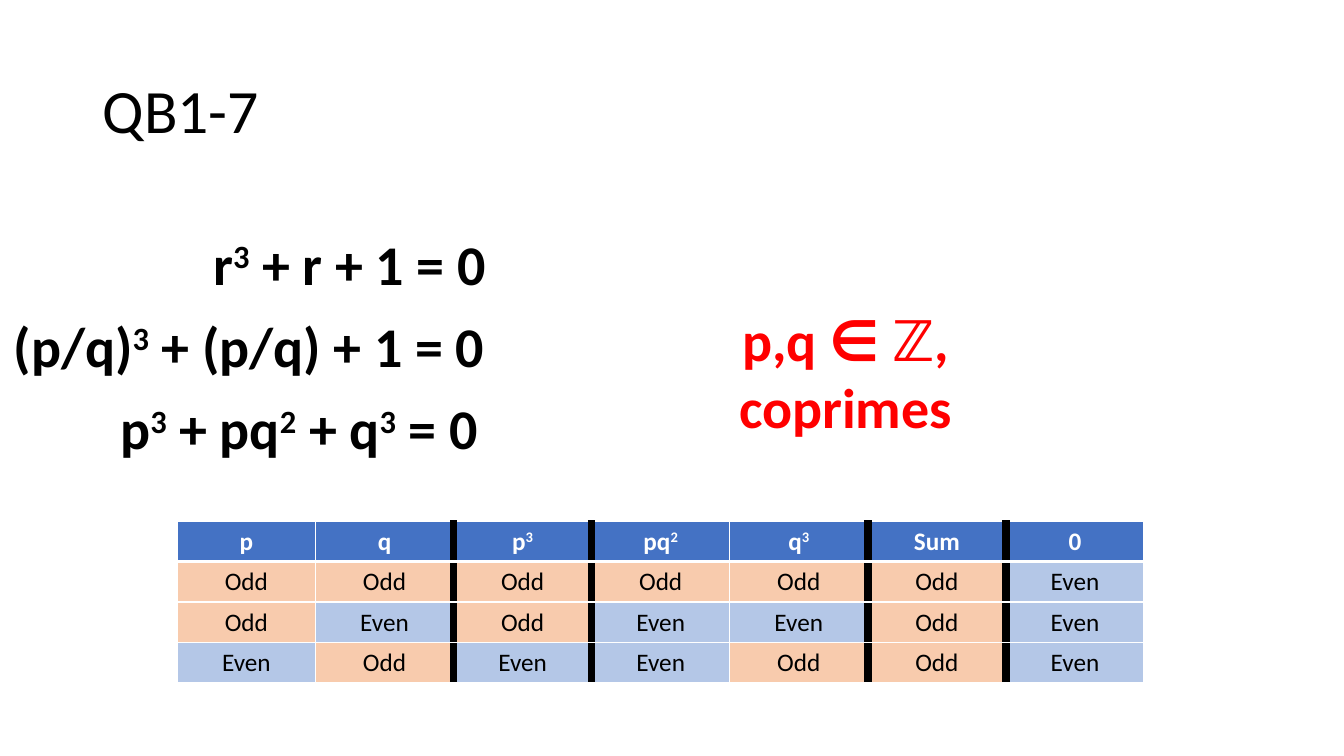
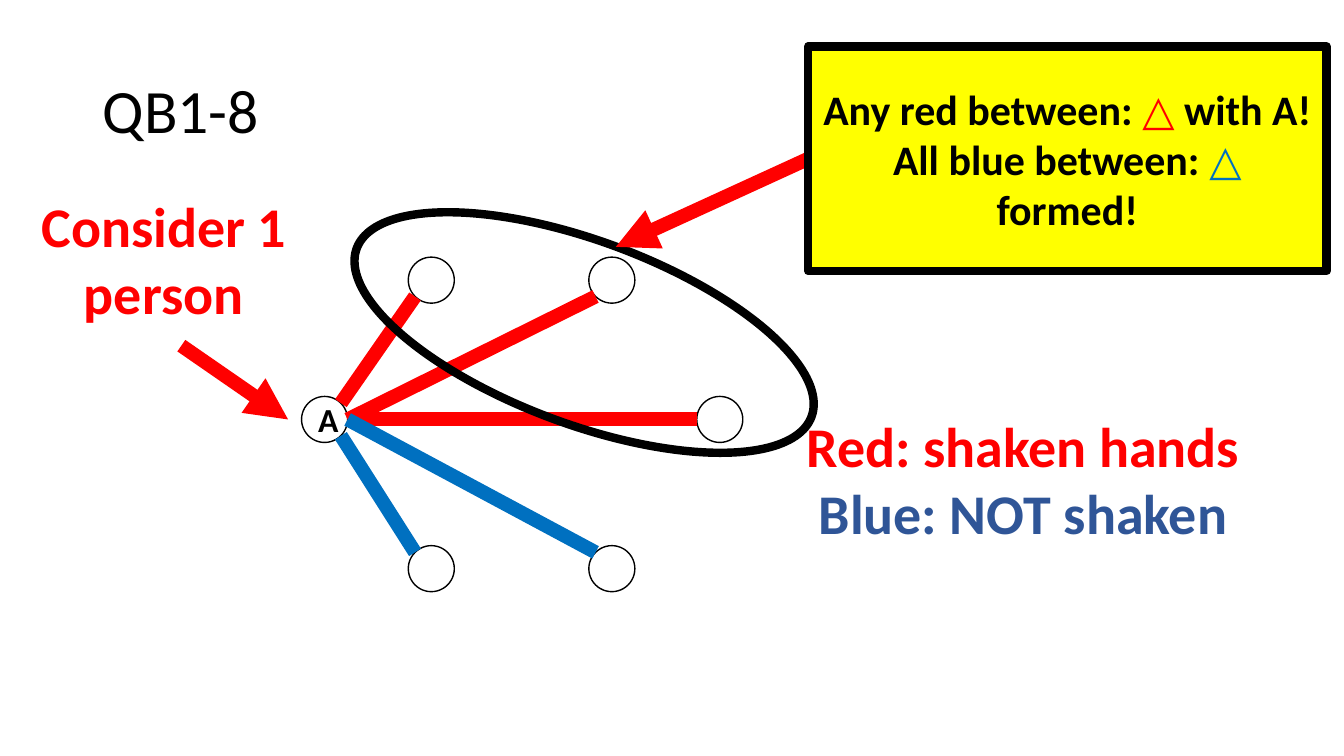
from pptx import Presentation
from pptx import util as u
from pptx.dml.color import RGBColor
from pptx.enum import shapes, text
from pptx.oxml.ns import qn
from lxml import etree

COLORS = {
    "black": "000000", "white": "FFFFFF", "red": "FF0000", "blue": "0070C0",
    "navy": "2F5597", "yellow": "FFFF00", "header": "4472C4",
    "odd": "F8CBAD", "even": "B4C7E7",
}
RGB = {name: RGBColor.from_string(value) for name, value in COLORS.items()}
FONT = "Calibri"


def write(para, content, size, color="black", bold=True, accent=None):
    """Fill a paragraph; parts between ^ marks are raised, or coloured if accent is given."""
    for index, part in enumerate(content.split("^")):
        if not part:
            continue
        span = para.add_run()
        span.text = part
        span.font.name, span.font.size, span.font.bold = FONT, u.Pt(size), bold
        marked = index % 2 == 1
        span.font.color.rgb = RGB[accent if marked and accent else color]
        if marked and not accent:
            span.font._element.set("baseline", "30000")


def draw_line(page, start, end, color, arrow=False):
    line = page.shapes.add_connector(
        shapes.MSO_CONNECTOR.STRAIGHT, *[u.Cm(value) for value in (*start, *end)])
    line.line.color.rgb = RGB[color]
    line.line.width = u.Pt(10)
    if arrow:
        etree.SubElement(line.line._get_or_add_ln(), qn("a:tailEnd"), type="triangle")
    etree.SubElement(line._element.spPr, qn("a:effectLst"))
    return line


deck = Presentation()
deck.slide_width, deck.slide_height = u.Cm(33.87), u.Cm(19.05)
pages = []
for title in ("QB1-7", "QB1-8"):
    page = deck.slides.add_slide(deck.slide_layouts[6])
    box = page.shapes.add_textbox(u.Cm(2.34), u.Cm(1.02), u.Cm(29.2), u.Cm(3.68))
    box.text_frame.word_wrap = True
    box.text_frame.vertical_anchor = text.MSO_ANCHOR.MIDDLE
    para = box.text_frame.paragraphs[0]
    para.line_spacing = 0.9
    write(para, title, 44, bold=False)
    pages.append(page)
proof, handshakes = pages

# Large centred statements on both slides
EQUATION_RIGHT = 12.55
equations = [
    ("r^3^ + r + 1 = 0", 7.49),
    ("(p/q)^3^ + (p/q) + 1 = 0", 12.55),
    ("p^3^ + pq^2^ + q^3^ = 0", 10.03),
]
statements = [
    (proof, (EQUATION_RIGHT - width, 5.66 + 2.07 * row, width, 1.96), False,
     [(equation, "black")])
    for row, (equation, width) in enumerate(equations)
]
statements += [
    (proof, (17.31, 7.57, 8, 3.68), True, [("p,q ∈ ℤ, coprimes", "red")]),
    (handshakes, (0.6, 4.7, 7.06, 3.68), False, [("Consider 1", "red"), ("person", "red")]),
    (handshakes, (20, 10.24, 11.56, 3.68), False,
     [("Red: shaken hands", "red"), ("Blue: NOT shaken", "navy")]),
]
for page, place, wrap, lines in statements:
    frame = page.shapes.add_textbox(*[u.Cm(value) for value in place]).text_frame
    frame.word_wrap = wrap
    for index, (content, color) in enumerate(lines):
        para = frame.add_paragraph() if index else frame.paragraphs[0]
        para.alignment = text.PP_ALIGN.CENTER
        write(para, content, 40, color)

# Parity table
rows = [
    ["p", "q", "p^3^", "pq^2^", "q^3^", "Sum", "0"],
    ["Odd", "Odd", "Odd", "Odd", "Odd", "Odd", "Even"],
    ["Odd", "Even", "Odd", "Even", "Even", "Odd", "Even"],
    ["Even", "Odd", "Even", "Even", "Odd", "Odd", "Even"],
]
THICK_BEFORE = {2, 3, 5, 6}
COLUMN, ROW = 3.48, 1.02
columns = len(rows[0])
table = proof.shapes.add_table(
    len(rows), columns, u.Cm(4.47), u.Cm(13.13),
    u.Cm(COLUMN * columns), u.Cm(ROW * len(rows))).table
for column in table.columns:
    column.width = u.Cm(COLUMN)
for r, row in enumerate(rows):
    table.rows[r].height = u.Cm(ROW)
    for c, content in enumerate(row):
        cell = table.cell(r, c)
        thin, thick = ("white", 1), ("black", 6)
        borders = {
            "a:lnL": thick if c in THICK_BEFORE else thin,
            "a:lnR": thick if c + 1 in THICK_BEFORE else thin,
            "a:lnT": ("white", 3) if r == 1 else thin,
            "a:lnB": ("white", 3) if r == 0 else thin,
        }
        properties = cell._tc.get_or_add_tcPr()
        for tag, (color, width) in borders.items():
            edge = etree.SubElement(properties, qn(tag), w=str(u.Pt(width)))
            fill = etree.SubElement(edge, qn("a:solidFill"))
            etree.SubElement(fill, qn("a:srgbClr"), val=COLORS[color])
        cell.fill.solid()
        cell.fill.fore_color.rgb = RGB["header" if r == 0 else content.lower()]
        para = cell.text_frame.paragraphs[0]
        para.alignment = text.PP_ALIGN.CENTER
        write(para, content, 18, "white" if r == 0 else "black", bold=r == 0)

# People: A first, then the other five with the side of A and of the person each line joins
RADIUS = 0.58
D = 0.71
person_a = (8.18, 10.57)
others = [
    ((10.87, 7.06), (D, -D), (-D, D), "red"),
    ((15.42, 7.06), (1, 0), (-D, D), "red"),
    ((18.14, 10.57), (1, 0), (-1, 0), "red"),
    ((15.42, 14.33), (1, 0), (-D, -D), "blue"),
    ((10.87, 14.33), (D, D), (-D, -D), "blue"),
]
for x, y in [person_a] + [other[0] for other in others]:
    circle = handshakes.shapes.add_shape(
        shapes.MSO_SHAPE.OVAL, u.Cm(x - RADIUS), u.Cm(y - RADIUS),
        u.Cm(2 * RADIUS), u.Cm(2 * RADIUS))
    circle.shadow.inherit = False
    circle.fill.solid()
    circle.fill.fore_color.rgb = RGB["white"]
    circle.line.color.rgb = RGB["black"]
    circle.line.width = u.Pt(1)
    if (x, y) == person_a:
        para = circle.text_frame.paragraphs[0]
        para.alignment = text.PP_ALIGN.CENTER
        write(para, "A", 24)
for center, side_a, side, color in others:
    start = [p + RADIUS * d for p, d in zip(person_a, side_a)]
    end = [p + RADIUS * d for p, d in zip(center, side)]
    draw_line(handshakes, start, end, color)
draw_line(handshakes, (4.57, 8.71), (7.26, 10.57), "red", arrow=True)

# Group of three shaken hands and its conclusion
group = handshakes.shapes.add_shape(
    shapes.MSO_SHAPE.OVAL, u.Cm(8.61), u.Cm(6.07), u.Cm(12.22), u.Cm(4.62))
group.rotation = 20.3
group.fill.background()
callout = handshakes.shapes.add_shape(
    shapes.MSO_SHAPE.RECTANGLE, u.Cm(20.37), u.Cm(1.17), u.Cm(13.06), u.Cm(5.66))
callout.fill.solid()
callout.fill.fore_color.rgb = RGB["yellow"]
for shape in (group, callout):
    shape.shadow.inherit = False
    shape.line.color.rgb = RGB["black"]
    shape.line.width = u.Pt(6)
frame = callout.text_frame
frame.word_wrap = True
frame.vertical_anchor = text.MSO_ANCHOR.MIDDLE
conclusions = [("Any red between: ^△^ with A!", "red"), ("All blue between: ^△^ formed!", "blue")]
for index, (content, accent) in enumerate(conclusions):
    para = frame.add_paragraph() if index else frame.paragraphs[0]
    para.alignment = text.PP_ALIGN.CENTER
    write(para, content, 30, accent=accent)
pointer = draw_line(handshakes, (20.37, 4), (15.52, 6.22), "red", arrow=True)
pointer.begin_connect(callout, 1)
callout._element.addprevious(pointer._element)

deck.save("out.pptx")
